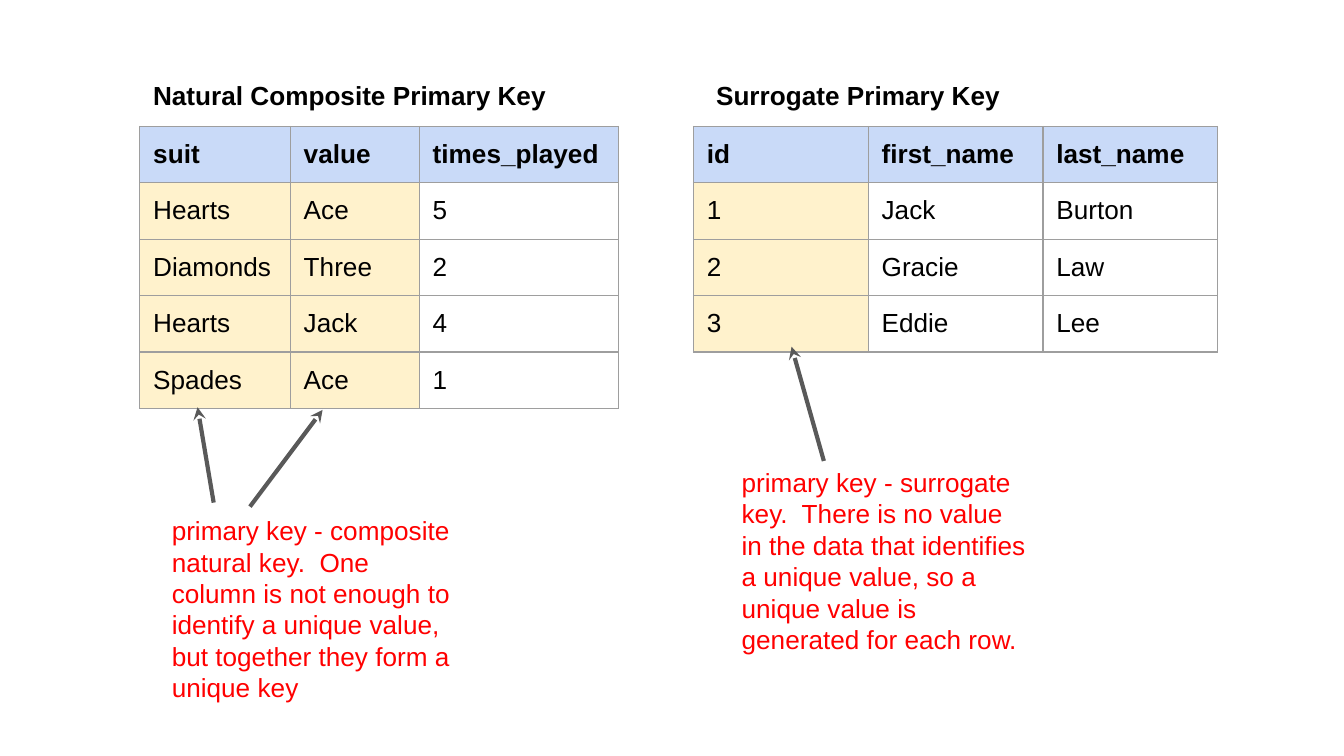
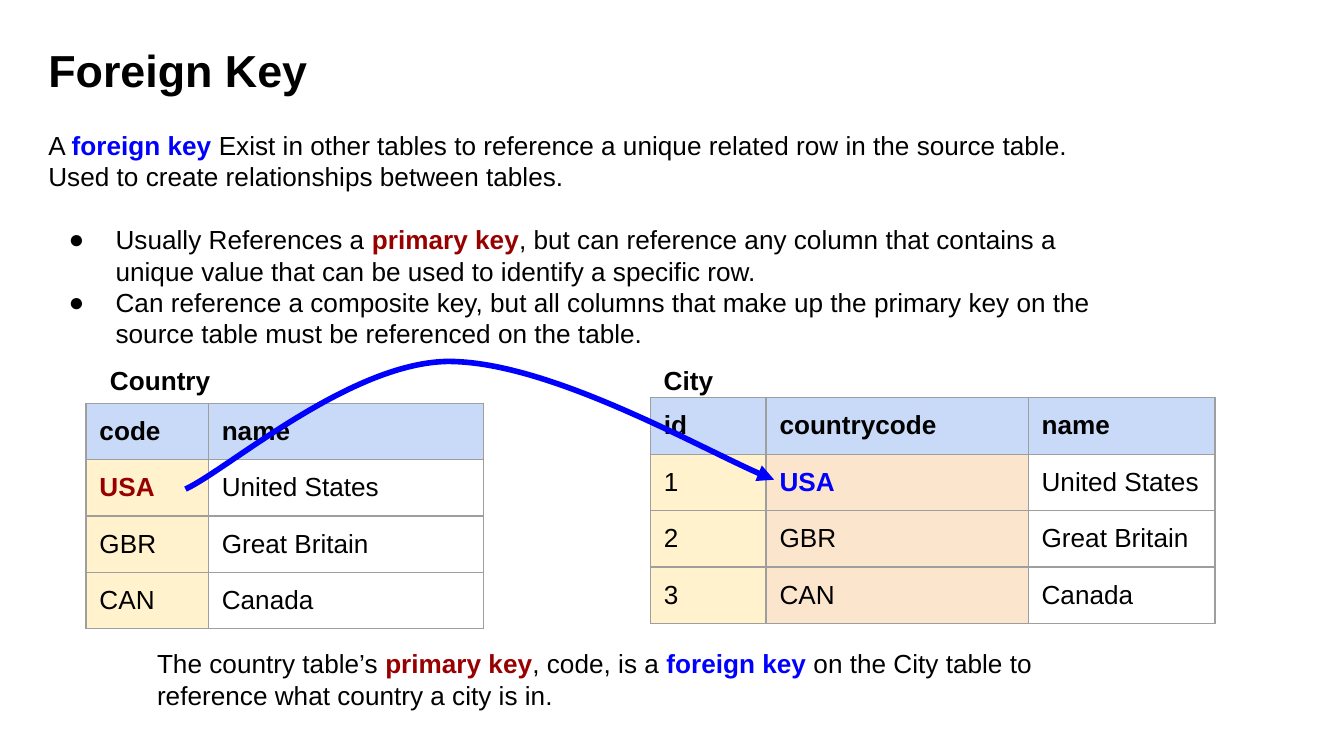
from lxml import etree
from pptx import Presentation
from pptx import util as u
from pptx.dml.color import RGBColor
from pptx.enum import shapes, text
from pptx.oxml.ns import qn

# Shared look
FONT = "Arial"
SIZE = 14
BLACK, RED, GREY, EDGE = "000000", "FF0000", "595959", "9E9E9E"
MAROON, BLUE = "980000", "0000FF"
HEAD, KEY, LINK = "C9DAF8", "FFF2CC", "FCE5CD"
PAD = 0.1
ROW = 0.42
WIDE = 10


def color(code):
    return RGBColor.from_string(code)


def node(parent, tag, **attrs):
    return etree.SubElement(parent, qn("a:" + tag), attrs)


def write(para, parts, size=SIZE, bold=False, ink=BLACK, before=0, dot=None):
    """Fill a paragraph; parts is a string or a list of strings and (text, ink) key terms."""
    props = para._p.get_or_add_pPr()
    props.set("marL", str(u.Inches(0.5 if dot else 0)))
    props.set("indent", str(u.Inches(-0.35 if dot else 0)))
    if dot:
        node(node(props, "buClr"), "srgbClr", val=BLACK)
        node(props, "buFont", typeface=FONT)
        node(props, "buChar", char=dot)
    else:
        node(props, "buNone")
    para.alignment = text.PP_ALIGN.LEFT
    para.space_before = u.Pt(before)
    for part in [parts] if isinstance(parts, str) else parts:
        plain = isinstance(part, str)
        run = para.add_run()
        run.text = part if plain else part[0]
        run.font.name = FONT
        run.font.size = u.Pt(size)
        run.font.bold = bold if plain else True
        run.font.color.rgb = color(ink if plain else part[1])


def setup(frame):
    frame.word_wrap = True
    frame.auto_size = text.MSO_AUTO_SIZE.NONE
    frame.vertical_anchor = text.MSO_ANCHOR.TOP
    frame.margin_left = frame.margin_right = u.Inches(PAD)
    frame.margin_top = frame.margin_bottom = u.Inches(PAD)
    return frame


def label(slide, box, parts, **fmt):
    frame = setup(slide.shapes.add_textbox(*map(u.Inches, box)).text_frame)
    write(frame.paragraphs[0], parts, **fmt)


def place(holder, box):
    holder.left, holder.top, holder.width, holder.height = map(u.Inches, box)
    return setup(holder.text_frame)


def border(cell):
    props = cell._tc.get_or_add_tcPr()
    for spot, side in enumerate(("lnL", "lnR", "lnT", "lnB")):
        line = etree.Element(qn("a:" + side), w=str(u.Pt(0.75)))
        node(node(line, "solidFill"), "srgbClr", val=EDGE)
        props.insert(spot, line)


def grid(slide, left, top, widths, rows, fills):
    """Add a table; fills holds the body colour of each leading column."""
    frame = slide.shapes.add_table(
        len(rows), len(widths), u.Inches(left), u.Inches(top),
        u.Inches(sum(widths)), u.Inches(ROW * len(rows)))
    table = frame.table
    table.first_row = table.horz_banding = False
    for col, width in zip(table.columns, widths):
        col.width = u.Inches(width)
    for r, row in enumerate(rows):
        table.rows[r].height = u.Inches(ROW)
        for c, value in enumerate(row):
            cell = table.cell(r, c)
            cell.margin_left = cell.margin_right = u.Inches(PAD)
            cell.margin_top = cell.margin_bottom = u.Inches(PAD)
            write(cell.text_frame.paragraphs[0], value, bold=r == 0)
            tint = HEAD if r == 0 else fills[c] if c < len(fills) else None
            if tint:
                cell.fill.solid()
                cell.fill.fore_color.rgb = color(tint)
            else:
                cell.fill.background()
            border(cell)


def stroke(shape, ink, width, tip):
    shape.line.color.rgb = color(ink)
    shape.line.width = u.Pt(width)
    node(shape._element.spPr.find(qn("a:ln")), "tailEnd", type=tip)


def arrow(slide, start, end):
    line = slide.shapes.add_connector(
        shapes.MSO_CONNECTOR.STRAIGHT, *map(u.Inches, start + end))
    stroke(line, GREY, 2.25, "stealth")
    node(line._element.spPr, "effectLst")


def curve(slide, start, points):
    """Draw a smooth open arrow; each three points make one cubic segment."""
    pen = slide.shapes.build_freeform(*map(u.Inches, start))
    pen.add_line_segments([tuple(map(u.Inches, p)) for p in points], close=False)
    shape = pen.convert_to_shape()
    steps = list(shape._element.iter(qn("a:lnTo")))
    for i in range(0, len(steps), 3):
        bend = etree.Element(qn("a:cubicBezTo"))
        steps[i].addprevious(bend)
        for step in steps[i:i + 3]:
            bend.append(step[0])
            step.getparent().remove(step)
    shape.fill.background()
    shape.shadow.inherit = False
    stroke(shape, BLUE, 3, "triangle")


def primary(deck):
    slide = deck.slides.add_slide(deck.slide_layouts[6])
    # Tables
    grid(slide, 1.04, 0.94, (1.12, 0.96, 1.48), [
        ("suit", "value", "times_played"),
        ("Hearts", "Ace", "5"),
        ("Diamonds", "Three", "2"),
        ("Hearts", "Jack", "4"),
        ("Spades", "Ace", "1")], (KEY, KEY))
    grid(slide, 5.16, 0.94, (1.3, 1.3, 1.3), [
        ("id", "first_name", "last_name"),
        ("1", "Jack", "Burton"),
        ("2", "Gracie", "Law"),
        ("3", "Eddie", "Lee")], (KEY,))
    # Captions and notes
    label(slide, (1.04, 0.49, 3.62, 0.37), "Natural Composite Primary Key", bold=True)
    label(slide, (5.23, 0.49, 3.06, 0.37), "Surrogate Primary Key", bold=True)
    label(slide, (1.18, 3.73, 2.33, 1.59),
          "primary key - composite natural key.  One column is not enough to "
          "identify a unique value, but together they form a unique key", ink=RED)
    label(slide, (5.42, 3.37, 2.33, 1.59),
          "primary key - surrogate key.  There is no value in the data that "
          "identifies a unique value, so a unique value is generated for each row.",
          ink=RED)
    # Pointers to the key columns
    for start, end in (((1.59, 3.74), (1.47, 3.03)),
                       ((1.86, 3.77), (2.4, 3.05)),
                       ((6.13, 3.43), (5.89, 2.58))):
        arrow(slide, start, end)


def foreign(deck):
    slide = deck.slides.add_slide(deck.slide_layouts[1])
    # Title and definition
    title = place(slide.shapes.title, (0.26, 0.22, 8.1, 0.6))
    write(title.paragraphs[0], "Foreign Key", size=24, bold=True)
    body = place(slide.placeholders[1], (0.26, 0.86, 8.1, 1.86))
    write(body.paragraphs[0], [
        "A ", ("foreign key ", BLUE),
        "Exist in other tables to reference a unique related row in the source "
        "table. Used to create relationships between tables."])
    write(body.add_paragraph(), [
        "Usually References a ", ("primary key", MAROON),
        ", but can reference any column that contains a unique value that can be "
        "used to identify a specific row."], before=17, dot="●")
    write(body.add_paragraph(),
          "Can reference a composite key, but all columns that make up the primary "
          "key on the source table must be referenced on the table.", dot="●")
    # Tables
    grid(slide, 0.64, 3, (0.91, 2.05), [
        ("code", "name"),
        ([("USA", MAROON)], "United States"),
        ("GBR", "Great Britain"),
        ("CAN", "Canada")], (KEY,))
    grid(slide, 4.84, 2.96, (0.86, 1.95, 1.39), [
        ("id", "countrycode", "name"),
        ("1", [("USA", BLUE)], "United States"),
        ("2", "GBR", "Great Britain"),
        ("3", "CAN", "Canada")], (KEY, LINK))
    # Captions and summary
    label(slide, (0.72, 2.61, 1.87, 0.39), "Country", bold=True)
    label(slide, (4.84, 2.61, 1.87, 0.39), "City", bold=True)
    label(slide, (1.07, 4.72, 7.29, 0.75), [
        "The country table’s ", ("primary key", MAROON), ", code, is a ",
        ("foreign key", BLUE),
        " on the City table to reference what country a city is in."])
    # Link from primary to foreign key
    curve(slide, (1.38, 3.64), [(1.7, 3.49), (2.59, 2.71), (3.32, 2.69),
                                (4.06, 2.68), (5.36, 3.42), (5.76, 3.57)])


def main():
    deck = Presentation()
    deck.slide_width = u.Inches(WIDE)
    deck.slide_height = u.Inches(WIDE * 9 / 16)
    primary(deck)
    foreign(deck)
    deck.save("out.pptx")


if __name__ == "__main__":
    main()
